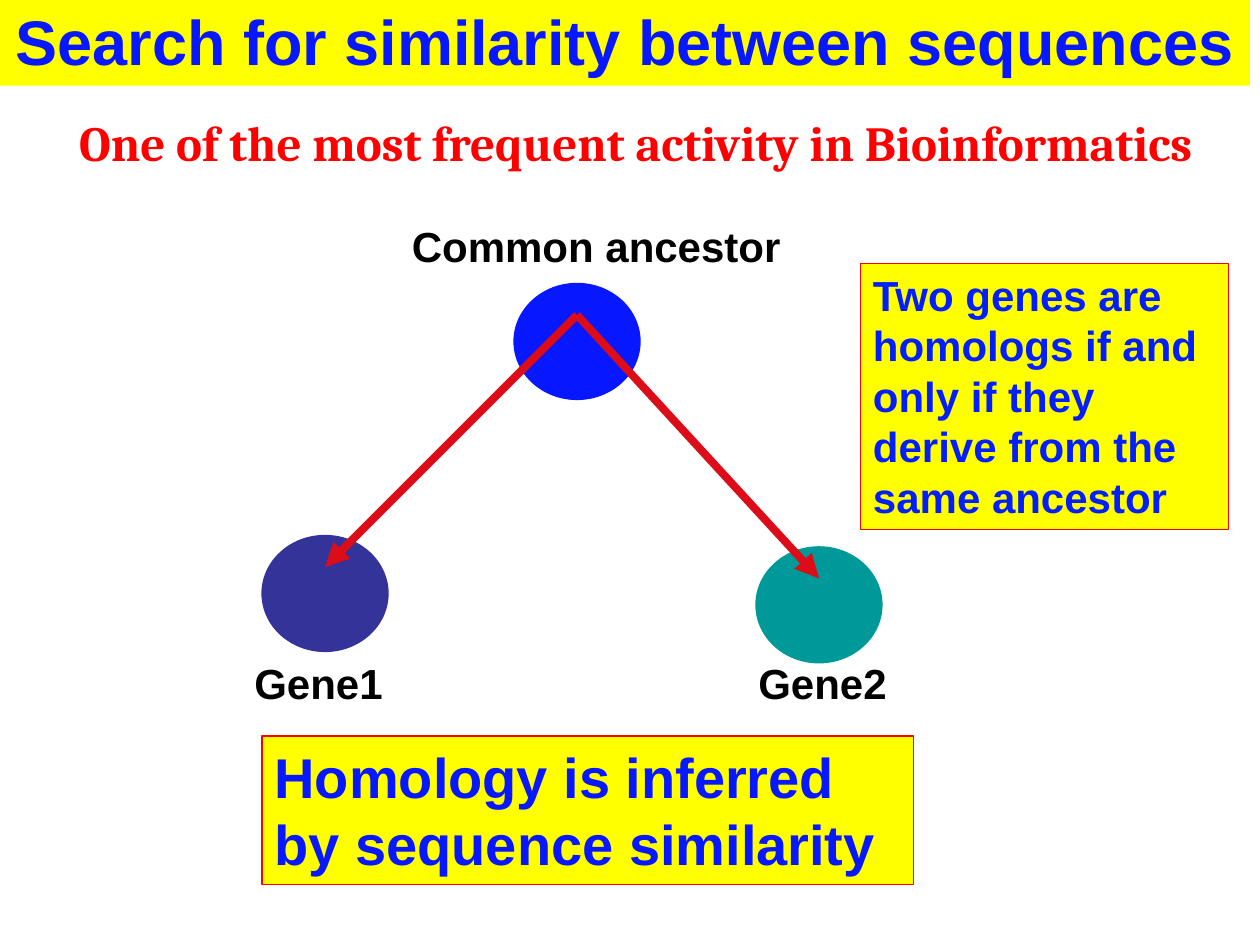
"""Build a slide on homology and the search for sequence similarity."""
from dataclasses import dataclass

import lxml.etree
import pptx
import pptx.dml.color
import pptx.enum.shapes
import pptx.enum.text
import pptx.oxml.ns
import pptx.util

Inches = pptx.util.Inches
BLUE, YELLOW, RED, BLACK = "0717FF", "FFFF00", "FF0000", "000000"
NODE_WIDTH, NODE_HEIGHT, ARROW_INSET = 1, 0.92, 0.25


@dataclass(frozen=True)
class Node:
    """A gene circle."""
    left: float
    top: float
    fill: str

    @property
    def anchor(self) -> tuple:
        """Return the point inside the circle where arrows meet."""
        return Inches(self.left + NODE_WIDTH / 2), Inches(self.top + ARROW_INSET)


@dataclass(frozen=True)
class Label:
    """A text box with its place and format."""
    text: str
    box: tuple
    size: int = 24
    color: str = BLACK
    font: str = "Arial"
    centered: bool = False
    framed: bool = False


ANCESTOR = Node(4.08, 2.25, BLUE)
GENES = [Node(2.08, 4.25, "333399"), Node(6, 4.34, "009999")]
TITLE = Label("Search for similarity between sequences", (0, -0.03, 9.92, 0.71),
              size=36, color=BLUE, centered=True)
LABELS = [
    Label("Gene1", (1.92, 5.17, 1.42, 0.5)),
    Label("Gene2", (5.92, 5.17, 1.33, 0.5)),
    Label("Common ancestor", (3.17, 1.7, 3.25, 0.5)),
    Label("One of the most frequent activity in Bioinformatics", (0.17, 0.84, 9.75, 0.57),
          size=28, color=RED, font="Cambria", centered=True),
    Label("Homology is inferred by sequence similarity", (2.08, 5.84, 5.17, 1.18),
          size=32, color=BLUE, framed=True),
    Label("Two genes are homologs if and only if they derive from the same ancestor",
          (6.83, 2.09, 2.92, 2.11), color="021EFD", framed=True),
]


def paint(color_format, color: str) -> None:
    """Apply a hex colour to a fill, or to a font or line colour."""
    if hasattr(color_format, "solid"):
        color_format.solid()
        color_format = color_format.fore_color
    color_format.rgb = pptx.dml.color.RGBColor.from_string(color)


def outline(shape, color: str, width: float) -> None:
    """Set the line colour and width in points."""
    paint(shape.line.color, color)
    shape.line.width = pptx.util.Pt(width)


def write_text(shape, text: str, *, size: int, color: str, font: str, centered: bool) -> None:
    """Put bold, wrapped text into a shape."""
    frame = shape.text_frame
    frame.word_wrap = True
    frame.auto_size = pptx.enum.text.MSO_AUTO_SIZE.NONE
    frame.vertical_anchor = pptx.enum.text.MSO_ANCHOR.TOP
    paragraph = frame.paragraphs[0]
    alignment = pptx.enum.text.PP_ALIGN
    paragraph.alignment = alignment.CENTER if centered else alignment.LEFT
    run = paragraph.add_run()
    run.text = text
    run.font.size = pptx.util.Pt(size)
    run.font.name = font
    run.font.bold = True
    paint(run.font.color, color)


def write_label(shape, label: Label) -> None:
    """Write a label with its own format."""
    write_text(shape, label.text, size=label.size, color=label.color,
               font=label.font, centered=label.centered)


def add_label(slide, label: Label) -> None:
    """Draw a text box, framed in red on yellow when asked."""
    shape = slide.shapes.add_textbox(*map(Inches, label.box))
    if label.framed:
        paint(shape.fill, YELLOW)
        outline(shape, RED, 0.75)
    write_label(shape, label)


def add_title(slide, label: Label) -> None:
    """Format the title placeholder as a yellow banner."""
    shape = slide.shapes.title
    shape.left, shape.top, shape.width, shape.height = map(Inches, label.box)
    paint(shape.fill, YELLOW)
    write_label(shape, label)


def add_node(slide, node: Node) -> None:
    """Draw a gene circle."""
    shape = slide.shapes.add_shape(
        pptx.enum.shapes.MSO_SHAPE.OVAL,
        *map(Inches, (node.left, node.top, NODE_WIDTH, NODE_HEIGHT)))
    shape.shadow.inherit = False
    paint(shape.fill, node.fill)
    outline(shape, node.fill, 0.75)


def add_arrow(slide, start: Node, end: Node) -> None:
    """Draw a descent arrow between two circles."""
    connector = slide.shapes.add_connector(
        pptx.enum.shapes.MSO_CONNECTOR.STRAIGHT, *start.anchor, *end.anchor)
    outline(connector, "DC0C19", 4.5)
    qualify = pptx.oxml.ns.qn
    line = connector.line._get_or_add_ln()
    lxml.etree.SubElement(line, qualify("a:tailEnd"), type="triangle")
    lxml.etree.SubElement(connector._element.spPr, qualify("a:effectLst"))


def main() -> None:
    """Build and save the presentation."""
    presentation = pptx.Presentation()
    presentation.slide_width, presentation.slide_height = Inches(10), Inches(7.5)
    slide = presentation.slides.add_slide(presentation.slide_layouts[5])
    add_title(slide, TITLE)
    for node in [ANCESTOR, *GENES]:
        add_node(slide, node)
    for gene in GENES:
        add_arrow(slide, ANCESTOR, gene)
    for label in LABELS:
        add_label(slide, label)
    presentation.save("out.pptx")


if __name__ == "__main__":
    main()
